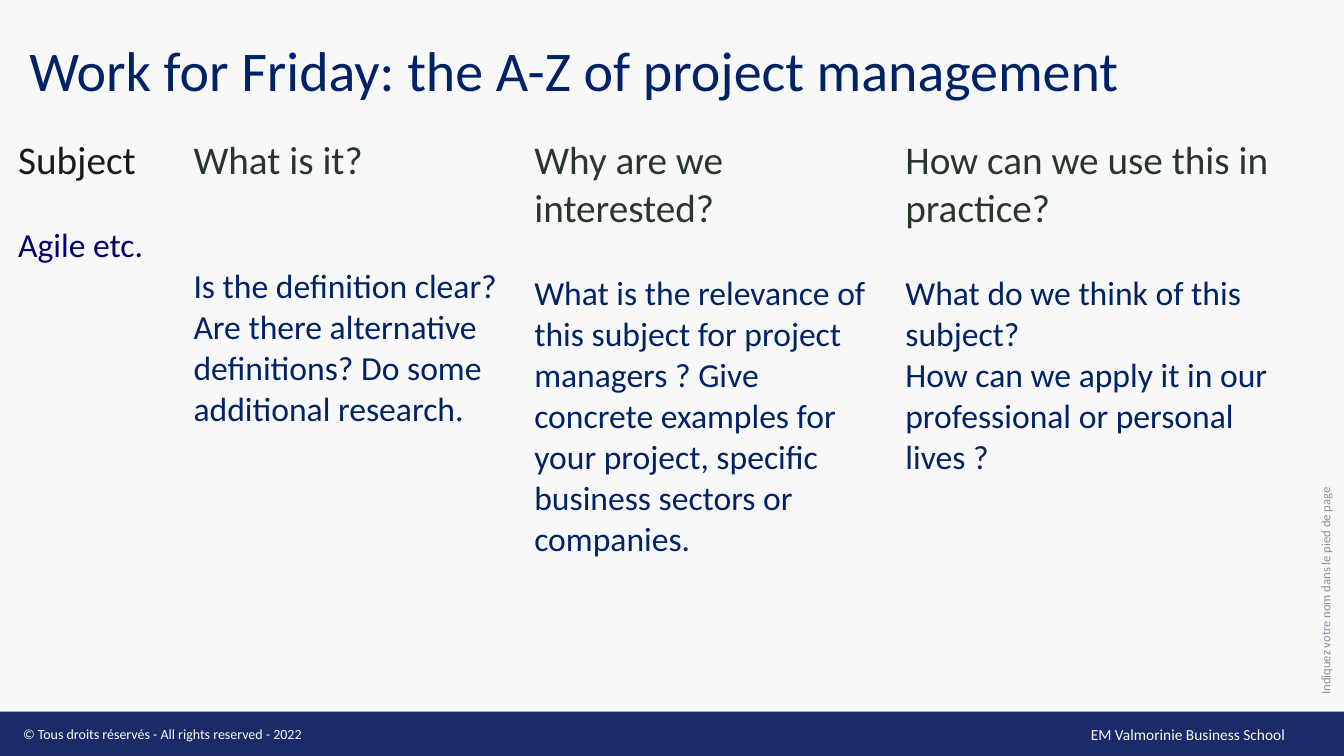
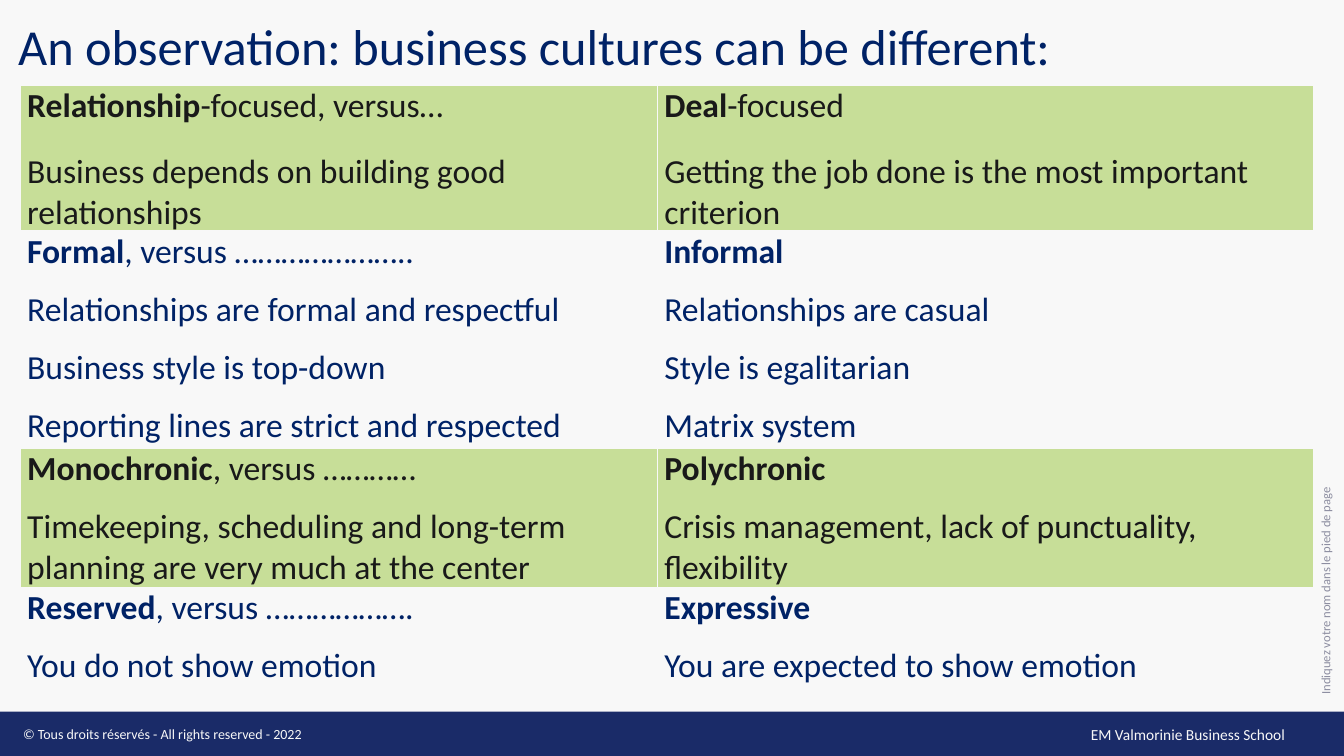
from lxml import etree
from pptx import Presentation, util as u
from pptx.dml.color import RGBColor
from pptx.enum import shapes, text
from pptx.oxml import ns

# Shared look
PAPER = RGBColor(0xF8, 0xF8, 0xF8)
BAND = RGBColor(0x1A, 0x2B, 0x68)
NAVY = RGBColor(0x00, 0x22, 0x66)
DEEP = RGBColor(0x00, 0x00, 0x73)
INK = RGBColor(0x19, 0x19, 0x19)
MOSS = RGBColor(0x29, 0x37, 0x2B)
GREY = RGBColor(0x8C, 0x8D, 0xA0)
GREEN = RGBColor(0xC7, 0xDE, 0x98)
FONT = "Calibri"
WIDE, HIGH = 13.33, 7.5
FOOT = 0.44
LINE = 29.3  # height of one 24 pt line

# Footer and side text: words, box, format
MARKS = [
    ("EM Valmorinie Business School", (10.72, 7.14, 2.45, 0.29),
     dict(size=11, color=PAPER)),
    ("© Tous droits réservés - All rights reserved - 2022",
     (0.13, 7.15, 4.42, 0.27), dict(size=10, color=PAPER)),
]
SIDE = "Indiquez votre nom dans le pied de page"

# Slide 1: width, heading, heading colour, blank lines, body colour, body
WORK = "Work for Friday: the A-Z of project management"
TOPICS = [
    (1.74, "Subject", INK, 1, DEEP, ["Agile etc."]),
    (3.38, "What is it?", MOSS, 2, NAVY,
     ["Is the definition clear? Are there alternative definitions? "
      "Do some additional research."]),
    (3.68, "Why are we interested?", MOSS, 1, NAVY,
     ["What is the relevance of this subject for project managers ? "
      "Give concrete examples for your project, specific business "
      "sectors or companies."]),
    (4.07, "How can we use this in practice?", MOSS, 1, NAVY,
     ["What do we think of this subject?",
      "How can we apply it in our professional or personal lives ?"]),
]

# Slide 2: row height, space after, two cells; words before | are bold
VIEW = "An observation: business cultures can be different:"
STYLES = [
    (1.44, 12,
     ["Relationship|-focused, versus…",
      "Business depends on building good relationships"],
     ["Deal|-focused",
      "Getting the job done is the most important criterion"]),
    (2.15, 6,
     ["Formal|, versus …………………..",
      "Relationships are formal and respectful",
      "Business style is top-down",
      "Reporting lines are strict and respected"],
     ["Informal|", "Relationships are casual",
      "Style is egalitarian", "Matrix system"]),
    (1.38, 6,
     ["Monochronic|, versus …………",
      "Timekeeping, scheduling and long-term planning are very much "
      "at the center"],
     ["Polychronic|", "Crisis management, lack of punctuality, flexibility"]),
    (0.98, 6,
     ["Reserved|, versus ……………….", "You do not show emotion"],
     ["Expressive|", "You are expected to show emotion"]),
]


def write(frame, words, size=24, color=NAVY, before=0, after=0, lead=None):
    """Add one paragraph; words before | are bold."""
    para = frame.add_paragraph() if frame.text else frame.paragraphs[0]
    para.alignment = text.PP_ALIGN.LEFT
    para.space_before, para.space_after = u.Pt(before), u.Pt(after)
    if lead:
        para.line_spacing = lead
    bold, _, rest = words.rpartition("|")
    for part, heavy in ((bold, True), (rest, False)):
        if part:
            run = para.add_run()
            run.text = part
            font = run.font
            font.name, font.size, font.bold = FONT, u.Pt(size), heavy
            font.color.rgb = color


def label(page, words, box, **form):
    frame = page.shapes.add_textbox(*map(u.Inches, box)).text_frame
    frame.word_wrap = True
    write(frame, words, **form)
    return frame


def start(deck, words, left, top, size):
    """New page with title, footer band and side text."""
    page = deck.slides.add_slide(deck.slide_layouts[5])
    title = page.shapes.title
    title.left, title.top = u.Inches(left), u.Inches(top)
    title.width, title.height = u.Inches(11.5), u.Inches(0.71)
    frame = title.text_frame
    frame.auto_size = text.MSO_AUTO_SIZE.NONE
    frame.vertical_anchor = text.MSO_ANCHOR.MIDDLE
    write(frame, words, size=size, lead=0.9)

    band = page.shapes.add_shape(
        shapes.MSO_SHAPE.RECTANGLE, 0, u.Inches(HIGH - FOOT),
        u.Inches(WIDE), u.Inches(FOOT))
    band.shadow.inherit = False
    band.fill.solid()
    band.fill.fore_color.rgb = BAND
    band.line.fill.background()
    for words, box, form in MARKS:
        label(page, words, box, **form)
    side = label(page, SIDE, (13.03, 0.49, 0.23, 6.5), size=9, color=GREY)
    side.vertical_anchor = text.MSO_ANCHOR.MIDDLE
    side._txBody.bodyPr.set("vert", "vert270")
    return page


def edge(cell, first):
    """Thin paper-coloured borders, thick below the first row."""
    props = cell._tc.get_or_add_tcPr()
    for spot, tag in enumerate(("a:lnL", "a:lnR", "a:lnT", "a:lnB")):
        thick = 3 if first and tag == "a:lnB" else 1
        line = etree.Element(ns.qn(tag), w=str(u.Pt(thick)))
        fill = etree.SubElement(line, ns.qn("a:solidFill"))
        etree.SubElement(fill, ns.qn("a:srgbClr"), val=str(PAPER))
        props.insert(spot, line)


def grid(page, left, top, cols, rows, fills):
    """Table with given column widths, row heights and row fills."""
    table = page.shapes.add_table(
        len(rows), len(cols), u.Inches(left), u.Inches(top),
        u.Inches(sum(cols)), u.Inches(sum(rows))).table
    table.first_row = table.horz_banding = False
    for col, wide in zip(table.columns, cols):
        col.width = u.Inches(wide)
    for num, (row, high) in enumerate(zip(table.rows, rows)):
        row.height = u.Inches(high)
        for cell in row.cells:
            cell.fill.solid()
            cell.fill.fore_color.rgb = fills[num]
            edge(cell, num == 0)
    return table


def work(deck):
    page = start(deck, WORK, 0.19, 0.37, 40)
    table = grid(page, 0.08, 1.31, [topic[0] for topic in TOPICS],
                 [4.57, 0.33, 0.33], [PAPER] * 3)
    for num, (_, head, tint, gap, color, body) in enumerate(TOPICS):
        frame = table.cell(0, num).text_frame
        write(frame, head, size=28, color=tint)
        for spot, words in enumerate(body):
            write(frame, words, color=color,
                  before=0 if spot else gap * LINE)


def view(deck):
    page = start(deck, VIEW, 0.08, 0.13, 36)
    fills = [GREEN, PAPER] * 2
    table = grid(page, 0.2, 0.85, [6.32, 6.51],
                 [style[0] for style in STYLES], fills)
    for num, (_, after, *pair) in enumerate(STYLES):
        color = INK if fills[num] == GREEN else NAVY
        for cell, body in zip(table.rows[num].cells, pair):
            cell.margin_left = cell.margin_right = u.Inches(0.07)
            cell.margin_top = cell.margin_bottom = 0
            for words in body:
                write(cell.text_frame, words, color=color,
                      before=6, after=after)


def main():
    deck = Presentation()
    deck.slide_width, deck.slide_height = u.Inches(WIDE), u.Inches(HIGH)
    back = deck.slide_master.background.fill
    back.solid()
    back.fore_color.rgb = PAPER
    work(deck)
    view(deck)
    deck.save("out.pptx")


if __name__ == "__main__":
    main()
